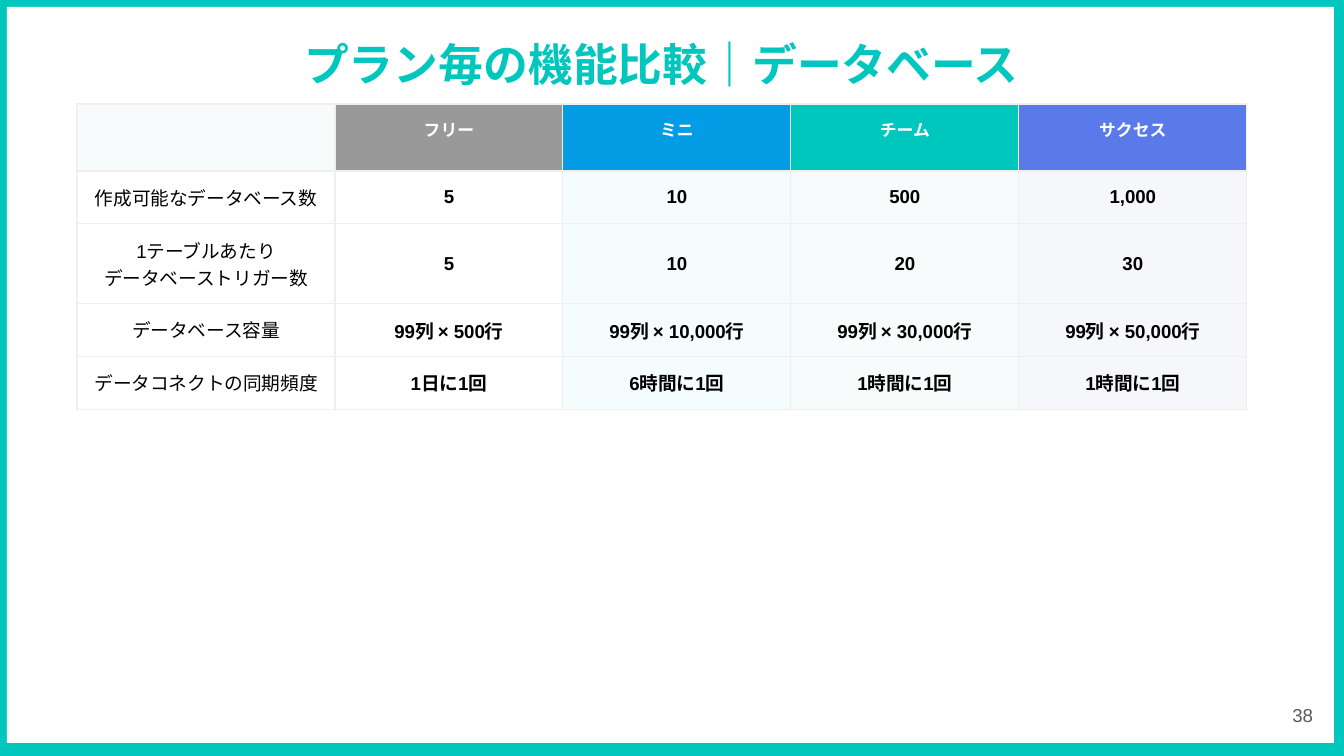
from lxml import etree
from pptx import Presentation
from pptx.dml.color import RGBColor
from pptx.enum.shapes import MSO_SHAPE
from pptx.enum.text import MSO_ANCHOR, MSO_AUTO_SIZE, PP_ALIGN
from pptx.oxml import parse_xml
from pptx.util import Pt

RECT = MSO_SHAPE.RECTANGLE
TOP, MIDDLE = MSO_ANCHOR.TOP, MSO_ANCHOR.MIDDLE
CENTER, RIGHT = PP_ALIGN.CENTER, PP_ALIGN.RIGHT
PX = 914400 / 134.4
PAD = 13
TEAL = "00C7BE"
NS = "http://schemas.openxmlformats.org/drawingml/2006/main"


def emu(*px):
    return [round(v * PX) for v in px]


def write(tf, text, size=10, font="Arial", color="000000", bold=False, align=CENTER):
    """Fill a text frame, one paragraph per line of text."""
    tf.text = text
    for p in tf.paragraphs:
        p.alignment = align
        f = p.runs[0].font
        f.size, f.name, f.bold = Pt(size), font, bold
        f.color.rgb = RGBColor.from_string(color)


prs = Presentation()
prs.slide_width, prs.slide_height = emu(1344, 756)
s = prs.slides.add_slide(prs.slide_layouts[5])

# Teal frame around a white page
for box, color in [((-7, -7, 1355, 765), TEAL), ((7, 7, 1327, 736), "FFFFFF")]:
    sp = s.shapes.add_shape(RECT, *emu(*box))
    sp.shadow.inherit = False
    sp.fill.solid()
    sp.fill.fore_color.rgb = RGBColor.from_string(color)
    sp.line.fill.background()

# Title, brought in front of the frame, and page number
title = s.shapes.title
s.shapes._spTree.append(title._element)
title.left, title.top, title.width, title.height = emu(204, 24, 915, 69)
number = s.shapes.add_textbox(*emu(1246, 686, 80, 58))
for sp, anchor in [(title, TOP), (number, MIDDLE)]:
    tf = sp.text_frame
    tf.word_wrap = True
    tf.auto_size = MSO_AUTO_SIZE.NONE
    tf.vertical_anchor = anchor
    tf.margin_left, tf.margin_top, tf.margin_right, tf.margin_bottom = emu(*[PAD] * 4)
write(title.text_frame, "プラン毎の機能比較｜データベース", size=24, font="Calibri",
      color=TEAL, bold=True)
write(number.text_frame, "38", color="595959", align=RIGHT)

# Plan comparison table
rows = [
    ["", "フリー", "ミニ", "チーム", "サクセス"],
    ["作成可能なデータベース数", "5", "10", "500", "1,000"],
    ["1テーブルあたり\nデータベーストリガー数", "5", "10", "20", "30"],
    ["データベース容量", "99列 × 500行", "99列 × 10,000行", "99列 × 30,000行",
     "99列 × 50,000行"],
    ["データコネクトの同期頻度", "1日に1回", "6時間に1回", "1時間に1回", "1時間に1回"],
]
col_widths = [258] + [228] * 4
row_heights = [66, 49, 72, 49, 49]
header_fills = ["F7FBFB", "999999", "049CE5", TEAL, "5A7AEA"]
body_fills = [None, None, "F4FCFE", "F7FBFB", "F6F7FB"]

frame = s.shapes.add_table(len(rows), len(col_widths),
                           *emu(77, 104, sum(col_widths), sum(row_heights)))
table = frame.table
table.first_row = table.horz_banding = False
for col, width in zip(table.columns, emu(*col_widths)):
    col.width = width
for row, height in zip(table.rows, emu(*row_heights)):
    row.height = height

for i, texts in enumerate(rows):
    for j, text in enumerate(texts):
        cell = table.cell(i, j)
        cell.margin_left, cell.margin_top, cell.margin_right, cell.margin_bottom = emu(*[PAD] * 4)
        cell.vertical_anchor = MIDDLE if i and j else TOP
        if text and i == 0:
            write(cell.text_frame, text, size=9, color="FFFFFF", bold=True)
        elif text:
            write(cell.text_frame, text, bold=j > 0)
        tc_pr = cell._tc.get_or_add_tcPr()
        for side in ("lnL", "lnR", "lnT", "lnB"):
            ln = etree.SubElement(tc_pr, f"{{{NS}}}{side}", w=str(Pt(0.75)))
            ln.append(parse_xml(f'<a:solidFill xmlns:a="{NS}"><a:srgbClr val="EFEFEF"/></a:solidFill>'))
        fill = body_fills[j] if i else header_fills[j]
        if fill:
            cell.fill.solid()
            cell.fill.fore_color.rgb = RGBColor.from_string(fill)
        else:
            cell.fill.background()

prs.save("out.pptx")
